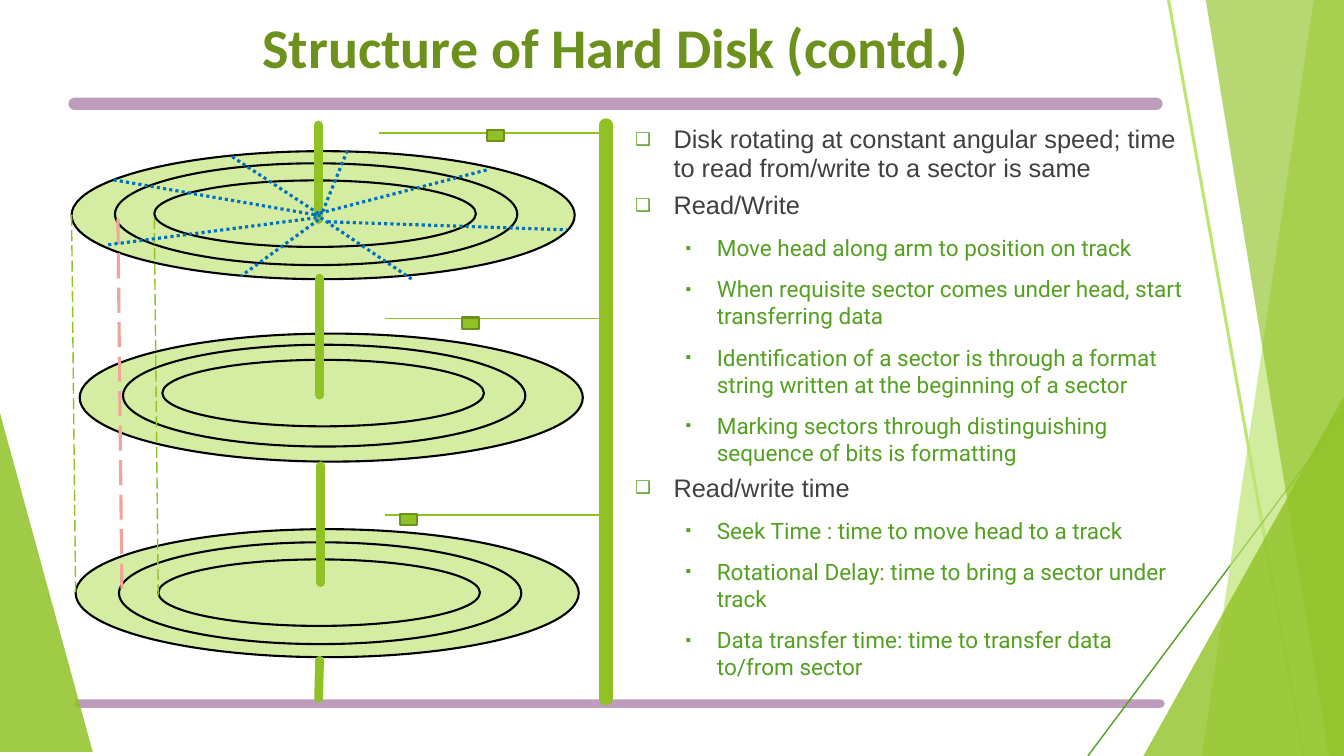
from lxml import etree
from pptx import Presentation
from pptx.dml.color import RGBColor
from pptx.enum.dml import MSO_LINE
from pptx.enum.shapes import MSO_CONNECTOR, MSO_SHAPE
from pptx.enum.text import MSO_ANCHOR, MSO_AUTO_SIZE, PP_ALIGN
from pptx.oxml.ns import qn
from pptx.util import Inches, Pt

STRAIGHT = MSO_CONNECTOR.STRAIGHT
OVAL = MSO_SHAPE.OVAL
RECTANGLE = MSO_SHAPE.RECTANGLE
TRIANGLE = MSO_SHAPE.ISOSCELES_TRIANGLE
LONG_DASH = MSO_LINE.LONG_DASH
DOTS = MSO_LINE.ROUND_DOT
TOP = MSO_ANCHOR.TOP
NO_FIT = MSO_AUTO_SIZE.NONE
CENTER = PP_ALIGN.CENTER

GREEN = "90C226"
LIGHT_GREEN = "C0E474"
DARK_GREEN = "54A021"
PURPLE = "7C3A7A"
BLUE = "0070C0"

RING_SIZES = [(0, 4.99, 1.27), (0.43, 3.99, 1.01), (0.82, 3.19, 0.66)]
DISCS = [
    (0.75, (5.25, 5.38, 5.55)),
    (0.79, (3.31, 3.42, 3.57)),
    (0.71, (1.5, 1.62, 1.79)),
]
CYLINDER_EDGES = [
    (0.71, 2.13, GREEN, 1),
    (1.17, 2.17, "F2A499", 2.25),
    (1.53, 2.16, GREEN, 1),
]
SPINDLE = [
    (3.17, 2.76, 3.17, 3.92),
    (3.18, 4.62, 3.18, 5.78),
    (3.16, 1.24, 3.16, 2.18),
    (3.17, 6.55, 3.16, 6.93),
]
ARMS = [(3.76, 1.32, 4.83, 1.29), (3.82, 3.16, 4.58, 3.15), (3.82, 5.11, 3.97, 5.1)]
SECTORS = [
    (3.18, 2.16, 4.1, 2.78),
    (3.25, 2.2, 5.62, 2.28),
    (3.11, 2.13, 4.85, 1.68),
    (3.2, 2.1, 3.45, 1.48),
    (3.16, 2.12, 2.28, 1.54),
    (3.18, 2.14, 1.1, 1.78),
    (3.14, 2.16, 1.06, 2.43),
    (3.16, 2.18, 2.39, 2.74),
]
POINTS = [
    (0, "Disk rotating at constant angular speed; time to read from/write to a sector is same"),
    (0, "Read/Write"),
    (1, "Move head along arm to position on track"),
    (1, "When requisite sector comes under head, start transferring data"),
    (1, "Identification of a sector is through a format string written at the beginning of a sector"),
    (1, "Marking sectors through distinguishing sequence of bits is formatting"),
    (0, "Read/write time"),
    (1, "Seek Time : time to move head to a track"),
    (1, "Rotational Delay: time to bring a sector under track"),
    (1, "Data transfer time: time to transfer data to/from sector"),
]
LEVELS = [
    dict(left=0.38, hang=0.38, spacing=0.94, before=6, bullet="❑",
         size=18.1, font="Arial", color="404040"),
    dict(left=0.81, hang=0.31, spacing=1.0, before=10, bullet="▪",
         size=16.1, font="Roboto", color=DARK_GREEN),
]


def rgb(color):
    return RGBColor.from_string(color)


def set_opacity(element, percent):
    color = next(element.iter(qn("a:srgbClr")))
    etree.SubElement(color, qn("a:alpha"), val=str(percent * 1000))


def add_line(slide, ends, color, width, dash=None, opacity=None):
    line = slide.shapes.add_connector(STRAIGHT, *map(Inches, ends))
    line.line.color.rgb = rgb(color)
    line.line.width = Pt(width)
    if dash:
        line.line.dash_style = dash
    if width > 5:
        next(line.element.iter(qn("a:ln"))).set("cap", "rnd")
    if opacity:
        set_opacity(line.element, opacity)
    etree.SubElement(line.element.spPr, qn("a:effectLst"))


def paint(shape, fill, outline=None, opacity=None):
    shape.shadow.inherit = False
    shape.fill.solid()
    shape.fill.fore_color.rgb = rgb(fill)
    if opacity:
        set_opacity(shape.element, opacity)
    if outline:
        shape.line.color.rgb = rgb(outline)
        shape.line.width = Pt(1.5)
    else:
        shape.line.fill.background()


def add_preset(slide, kind, box, fill, outline=None):
    shape = slide.shapes.add_shape(kind, *map(Inches, box))
    paint(shape, fill, outline)


def add_triangle(slide, box, apex, opacity):
    triangle = slide.shapes.add_shape(TRIANGLE, *map(Inches, box))
    triangle.adjustments[0] = apex
    paint(triangle, GREEN, opacity=opacity)


def add_panel(slide, corners, fill, opacity):
    start, *rest = [(Inches(x), Inches(y)) for x, y in corners]
    builder = slide.shapes.build_freeform(*start)
    builder.add_line_segments(rest, close=True)
    paint(builder.convert_to_shape(), fill, opacity=opacity)


def add_backdrop(slide):
    add_line(slide, (11.47, 1.03, 0.74, 1.03), PURPLE, 8.75, opacity=50)
    add_line(slide, (11.51, 6.98, 0.78, 6.98), PURPLE, 6, opacity=50)
    add_line(slide, (11.59, 0, 12.93, 7.5), LIGHT_GREEN, 2.25)
    add_line(slide, (13.33, 4.1, 10.79, 7.5), DARK_GREEN, 1)
    add_panel(slide, [(13.03, 0), (13.33, 0), (13.33, 7.5), (11.92, 7.5)], LIGHT_GREEN, 70)
    add_panel(slide, [(11.96, 0), (13.33, 0), (13.33, 7.5), (13.18, 7.5)], GREEN, 65)
    add_triangle(slide, (11.34, 3.93, 1.99, 3.57), 1, 80)
    add_triangle(slide, (0, 4.1, 0.92, 3.36), 0, 85)


def place(placeholder, box):
    placeholder.left, placeholder.top, placeholder.width, placeholder.height = map(Inches, box)
    frame = placeholder.text_frame
    frame.word_wrap = True
    frame.auto_size = NO_FIT
    frame.vertical_anchor = TOP
    tree = placeholder.element.getparent()
    tree.append(placeholder.element)
    return frame


def add_run(paragraph, text, size, font, color, bold=False):
    run = paragraph.add_run()
    run.text = text
    run.font.size = Pt(size)
    run.font.name = font
    run.font.bold = bold
    run.font.color.rgb = rgb(color)


def add_bullet(paragraph, symbol, left, hang):
    properties = paragraph._p.get_or_add_pPr()
    properties.set("marL", str(Inches(left)))
    properties.set("indent", str(-Inches(hang)))
    color = etree.SubElement(properties, qn("a:buClr"))
    etree.SubElement(color, qn("a:srgbClr"), val=DARK_GREEN)
    etree.SubElement(properties, qn("a:buSzPct"), val="70000")
    etree.SubElement(properties, qn("a:buFont"), typeface="Arial")
    etree.SubElement(properties, qn("a:buChar"), char=symbol)


def fill_title(slide):
    frame = place(slide.shapes.title, (0.74, 0.03, 10.73, 1.01))
    frame.margin_top = Inches(0.09)
    heading = frame.paragraphs[0]
    heading.alignment = CENTER
    add_run(heading, "Structure of Hard Disk (contd.)", 40, "Calibri", "6C921D", True)


def fill_points(slide):
    frame = place(slide.placeholders[1], (6.2, 1.2, 5.72, 5.69))
    for number, (level, text) in enumerate(POINTS):
        point = frame.add_paragraph() if number else frame.paragraphs[0]
        style = LEVELS[level]
        point.level = level
        point.line_spacing = style["spacing"]
        point.space_before = Pt(style["before"])
        add_bullet(point, style["bullet"], style["left"], style["hang"])
        add_run(point, text, style["size"], style["font"], style["color"])


def add_disk_drive(slide):
    for left, tops in DISCS:
        for top, (inset, width, height) in zip(tops, RING_SIZES):
            add_preset(slide, OVAL, (left + inset, top, width, height), "D5EDA2", "000000")
    for x, y, color, width in CYLINDER_EDGES:
        add_line(slide, (x, y, x + 0.04, y + 3.76), color, width, LONG_DASH)
    for ends in SPINDLE:
        add_line(slide, ends, GREEN, 6.25)
    add_line(slide, (6.01, 1.24, 6.01, 6.93), GREEN, 9.5)
    for arm_left, arm_y, head_left, head_top in ARMS:
        add_line(slide, (arm_left, arm_y, arm_left + 2.21, arm_y), GREEN, 1)
        add_preset(slide, RECTANGLE, (head_left, head_top, 0.17, 0.11), GREEN, "6B901C")
    for ends in SECTORS:
        add_line(slide, ends, BLUE, 2.25, DOTS)


def main():
    deck = Presentation()
    deck.slide_width = Inches(13.33)
    deck.slide_height = Inches(7.5)
    slide = deck.slides.add_slide(deck.slide_layouts[1])
    add_backdrop(slide)
    fill_title(slide)
    fill_points(slide)
    add_disk_drive(slide)
    deck.save("out.pptx")


if __name__ == "__main__":
    main()
